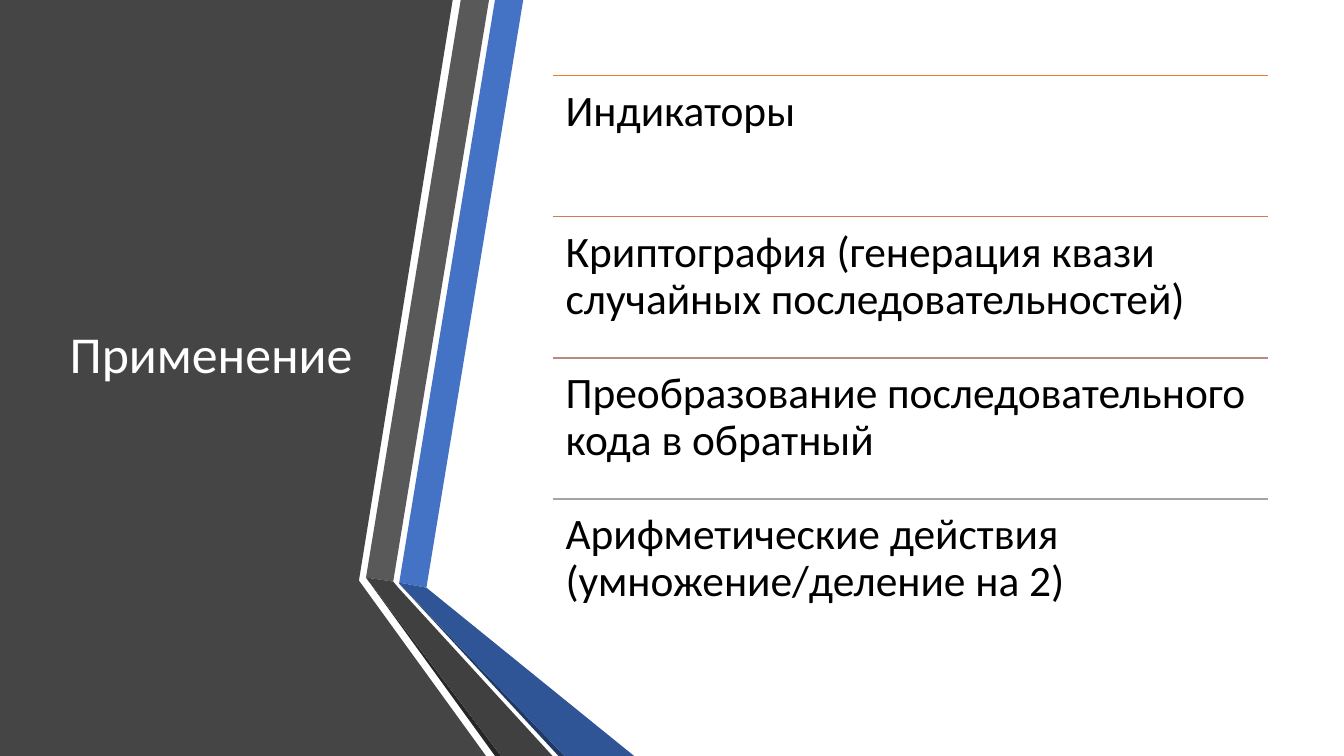
from pptx import Presentation
from pptx import util as u
from pptx.dml.color import RGBColor
from pptx.enum import shapes, text
from pptx.oxml.ns import qn
from lxml import etree

TITLE = "Применение"
COLORS = {
    "panel": "454545", "blue": "4472C4", "gray": "595959",
    "gray shade": "262626", "blue shade": "203864",
    "blue fold": "2F5597", "gray fold": "404040",
    "title": "FFFFFF", "body": "000000",
}
# (text, colour of the rule above it)
USES = [
    ("Индикаторы", "ED7D31"),
    ("Криптография (генерация квази случайных последовательностей)", "D17B5C"),
    ("Преобразование последовательного кода в обратный", "B98A82"),
    ("Арифметические действия (умножение/деление на 2)", "A5A5A5"),
]
# Outlines from back to front, in hundredths of an inch
RIBBONS = [
    ("panel", [(0, 0), (449, 0), (356, 576), (482, 750), (0, 750)]),
    ("blue", [(396, 578), (423, 583), (519, 0), (491, 0)]),
    ("gray", [(485, 0), (457, 0), (363, 573), (390, 577)]),
    ("gray shade", [(363, 573), (491, 750), (497, 750)]),
    ("blue shade", [(396, 579), (554, 750), (560, 750)]),
    ("blue fold", [(396, 578), (396, 579), (560, 750), (629, 750), (423, 583)]),
    ("gray fold", [(363, 573), (497, 750), (548, 750), (395, 583), (390, 577)]),
]
FONT = "Calibri"
LIST_LEFT, LIST_TOP, LIST_WIDTH, ROW_HEIGHT = 5.48, 0.75, 7.1, 1.4
TITLE_BOX = (0.59, LIST_TOP, 3.04, 4 * ROW_HEIGHT - 0.02)


def write(shape, words, size, color, anchor, margins=(0.1, 0.05)):
    frame = shape.text_frame
    frame.word_wrap = True
    frame.auto_size = text.MSO_AUTO_SIZE.NONE
    frame.vertical_anchor = anchor
    frame.margin_left = frame.margin_right = u.Inches(margins[0])
    frame.margin_top = frame.margin_bottom = u.Inches(margins[1])
    paragraph = frame.paragraphs[0]
    paragraph.alignment = text.PP_ALIGN.LEFT
    paragraph.line_spacing = 0.9
    run = paragraph.add_run()
    run.text = words
    run.font.name = FONT
    run.font.size = u.Pt(size)
    run.font.color.rgb = RGBColor.from_string(color)


def add_ribbon(slide, points, color):
    builder = slide.shapes.build_freeform(*points[0], scale=u.Inches(0.01))
    builder.add_line_segments(points[1:], close=True)
    shape = builder.convert_to_shape()
    shape.shadow.inherit = False
    shape.fill.solid()
    shape.fill.fore_color.rgb = RGBColor.from_string(color)
    shape.line.fill.background()


def add_rule(slide, left, top, width, color):
    rule = slide.shapes.add_connector(
        shapes.MSO_CONNECTOR.STRAIGHT, u.Inches(left), u.Inches(top),
        u.Inches(left + width), u.Inches(top))
    rule.line.color.rgb = RGBColor.from_string(color)
    rule.line.width = u.Pt(1)
    etree.SubElement(rule._element.spPr, qn("a:effectLst"))


def main():
    presentation = Presentation()
    presentation.slide_width = u.Inches(13.33)
    presentation.slide_height = u.Inches(7.5)
    slide = presentation.slides.add_slide(presentation.slide_layouts[5])

    for name, points in RIBBONS:
        add_ribbon(slide, points, COLORS[name])

    title = slide.shapes.title
    title.left, title.top, title.width, title.height = map(u.Inches, TITLE_BOX)
    write(title, TITLE, 37, COLORS["title"], text.MSO_ANCHOR.MIDDLE)
    title._element.getparent().append(title._element)  # in front of the panel

    for row, (words, rule_color) in enumerate(USES):
        top = LIST_TOP + row * ROW_HEIGHT
        add_rule(slide, LIST_LEFT, top, LIST_WIDTH, rule_color)
        box = slide.shapes.add_textbox(
            *map(u.Inches, (LIST_LEFT, top, LIST_WIDTH, ROW_HEIGHT)))
        write(box, words, 31, COLORS["body"], text.MSO_ANCHOR.TOP, (0.13, 0.13))

    presentation.save("out.pptx")


if __name__ == "__main__":
    main()
